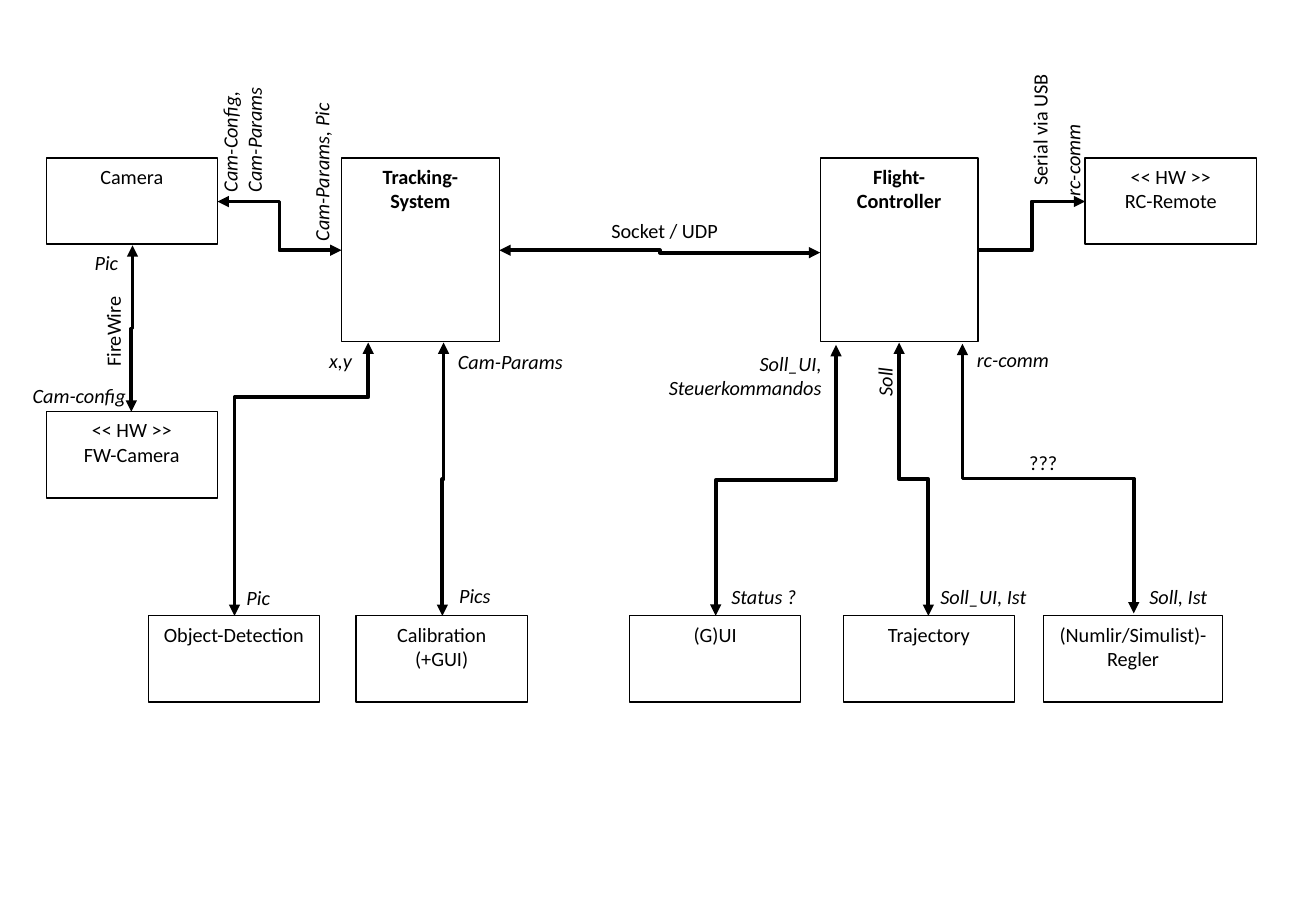
from lxml import etree
from pptx import Presentation
from pptx.dml.color import RGBColor
from pptx.enum.shapes import MSO_CONNECTOR, MSO_SHAPE
from pptx.enum.text import MSO_ANCHOR, PP_ALIGN
from pptx.oxml.ns import qn
from pptx.util import Pt

PX = 9144
FONT = "Calibri"
INK = "000000"
ELBOW = MSO_CONNECTOR.ELBOW
RECT = MSO_SHAPE.RECTANGLE
TOP = MSO_ANCHOR.TOP
LEFT, MID, RIGHT = PP_ALIGN.LEFT, PP_ALIGN.CENTER, PP_ALIGN.RIGHT
SIZE = 141, 71
ROW = 377


def px(*nums):
    return [round(n * PX) for n in nums]


def color(code):
    return RGBColor.from_string(code)


def write(shape, text, align, bold=False, italic=False):
    frame = shape.text_frame
    frame.word_wrap = True
    frame.vertical_anchor = TOP
    for i, line in enumerate(text.split("\n")):
        para = frame.add_paragraph() if i else frame.paragraphs[0]
        para.alignment = align
        run = para.add_run()
        run.text = line
        font = run.font
        font.name, font.size = FONT, Pt(12)
        font.bold, font.italic = bold, italic
        font.color.rgb = color(INK)


def box(slide, at, x, y, text, size=SIZE, bold=False):
    shape = slide.shapes.add_shape(RECT, *px(at[0] + x, at[1] + y, *size))
    shape.shadow.inherit = False
    shape.fill.background()
    shape.line.color.rgb = color(INK)
    shape.line.width = Pt(0.75)
    write(shape, text, MID, bold)


def label(slide, at, x, y, w, text, h=30, align=LEFT, italic=True, turn=0):
    shape = slide.shapes.add_textbox(*px(at[0] + x, at[1] + y, w, h))
    shape.rotation = turn
    write(shape, text, align, italic=italic)


def link(slide, at, x1, y1, x2, y2, both=True):
    ends = px(at[0] + x1, at[1] + y1, at[0] + x2, at[1] + y2)
    line = slide.shapes.add_connector(ELBOW, *ends)
    line.line.color.rgb = color(INK)
    line.line.width = Pt(2.25)
    props = line.line._get_or_add_ln()
    for tag in ("a:headEnd", "a:tailEnd") if both else ("a:tailEnd",):
        etree.SubElement(props, qn(tag), type="triangle")
    etree.SubElement(line._element.spPr, qn("a:effectLst"))
    return line


def drop(slide, at, x1, y1, x2, y2, bend=50):
    line = link(slide, at, x1, y1, x2, y2)
    w, h = y2 - y1, abs(x2 - x1)
    left = at[0] + (x1 + x2 - w) / 2
    top = at[1] + (y1 + y2 - h) / 2
    line.left, line.top, line.width, line.height = px(left, top, w, h)
    props = line._element.spPr
    frame = props.find(qn("a:xfrm"))
    frame.set("rot", "5400000")
    frame.set("flipH", "0")
    frame.set("flipV", "1" if x2 > x1 else "0")
    geom = props.find(qn("a:prstGeom"))
    guides = geom.find(qn("a:avLst"))
    if guides is None:
        guides = etree.SubElement(geom, qn("a:avLst"))
    etree.SubElement(guides, qn("a:gd"), name="adj1", fmla=f"val {bend * 1000}")


def camera(slide, at):
    box(slide, at, 0, 0, "Camera")
    box(slide, at, 0, 209, "<< HW >>\nFW-Camera")
    drop(slide, at, 71, 72, 70, 209)
    label(slide, at, 30, 71, 59, "Pic")
    label(slide, at, -21, 181, 100, "Cam-config")
    label(slide, at, 15, 128, 80, "FireWire", align=MID, italic=False, turn=270)


def tracker(slide, at):
    box(slide, at, 0, 0, "Tracking-System", (130, 151), True)
    box(slide, at, -159, ROW, "Object-Detection")
    box(slide, at, 12, ROW, "Calibration\n(+GUI)")
    link(slide, at, -102, 36, 0, 76)
    link(slide, at, 130, 76, 394, 78)
    drop(slide, at, 22, 152, -88, ROW, 20)
    drop(slide, at, 84, 152, 83, ROW)
    label(slide, at, 199, 45, 134, "Socket / UDP", align=MID, italic=False)
    label(slide, at, -145, -50, 126, "Cam-Config, Cam-Params", 50, turn=270)
    label(slide, at, -85, -5, 137, "Cam-Params, Pic", turn=270)
    for x, y, w, text in (
        (86, 153, 115, "Cam-Params"),
        (-20, 152, 46, "x,y"),
        (87, 345, 102, "Pics"),
        (-88, 347, 102, "Pic"),
    ):
        label(slide, at, x, y, w, text)


def flight(slide, at):
    box(slide, at, 0, 0, "Flight-Controller", (130, 151), True)
    box(slide, at, 218, 0, "<< HW >>\nRC-Remote")
    box(slide, at, -157, ROW, "(G)UI")
    box(slide, at, 19, ROW, "Trajectory")
    box(slide, at, 184, ROW, "(Numlir/Simulist)-Regler", (147, 71))
    link(slide, at, 130, 76, 218, 36, False)
    drop(slide, at, 13, 154, -86, ROW)
    drop(slide, at, 65, 152, 89, ROW)
    drop(slide, at, 117, 153, 258, 375)
    label(slide, at, 120, -38, 121, "Serial via USB", align=MID, italic=False, turn=270)
    label(slide, at, 167, -13, 81, "rc-comm", align=MID, turn=270)
    label(slide, at, 159, 236, 49, "???", align=MID, italic=False)
    label(slide, at, -137, 154, 148, "Soll_UI, Steuerkommandos", 50, RIGHT)
    label(slide, at, 26, 164, 54, "Soll", turn=270)
    for x, y, w, text in (
        (119, 151, 90, "rc-comm"),
        (-83, 346, 81, "Status ?"),
        (89, 346, 95, "Soll_UI, Ist"),
        (261, 346, 81, "Soll, Ist"),
    ):
        label(slide, at, x, y, w, text)


def main():
    deck = Presentation()
    deck.slide_width, deck.slide_height = px(1083, 750)
    slide = deck.slides.add_slide(deck.slide_layouts[6])
    camera(slide, (38, 130))
    tracker(slide, (281, 130))
    flight(slide, (675, 130))
    deck.save("out.pptx")


if __name__ == "__main__":
    main()
